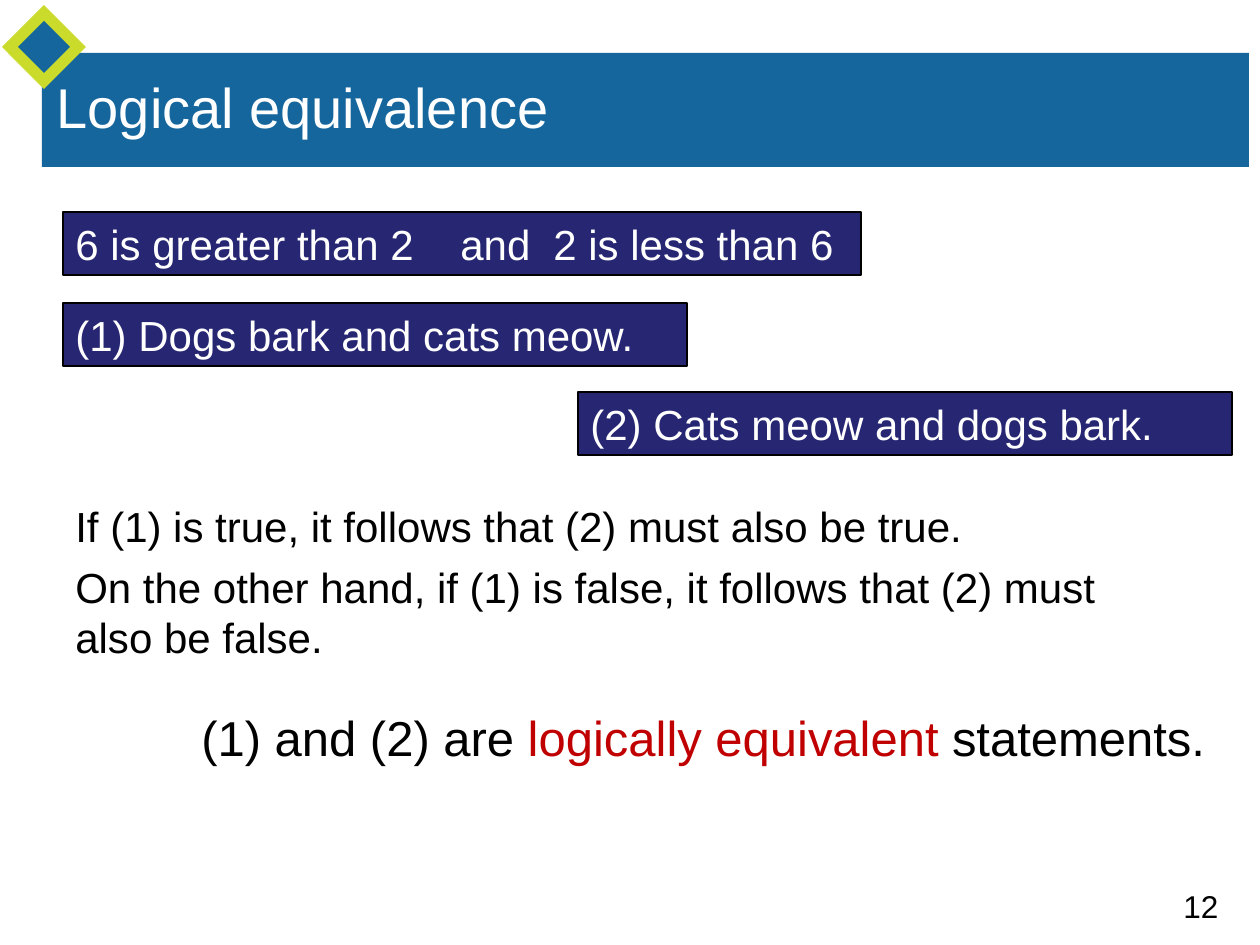
"""Build the slide on logical equivalence."""
import pptx
import pptx.dml.color
import pptx.enum.shapes
import pptx.enum.text
import pptx.oxml
import pptx.oxml.ns
import pptx.util

RGBColor = pptx.dml.color.RGBColor
BLUE = RGBColor(0x16, 0x66, 0x9E)
LIME = RGBColor(0xCB, 0xDB, 0x2B)
NAVY = RGBColor(0x26, 0x26, 0x73)
RED = RGBColor(0xC0, 0x00, 0x00)
BLACK = RGBColor(0x00, 0x00, 0x00)
WHITE = RGBColor(0xFF, 0xFF, 0xFF)

SHAPE = pptx.enum.shapes.MSO_SHAPE
ANCHOR = pptx.enum.text.MSO_ANCHOR
LEFT = pptx.enum.text.PP_ALIGN.LEFT
NO_FIT = pptx.enum.text.MSO_AUTO_SIZE.NONE
PX_PER_INCH = 126


def px(length):
    return pptx.util.Emu(round(length * 914400 / PX_PER_INCH))


def apply(target, **values):
    for name, value in values.items():
        setattr(target, name, value)


class Painter:
    font_name = "Arial"

    def __init__(self, page):
        self.page = page

    def fill_text(self, box, paragraphs, size, color, anchor=ANCHOR.TOP, after=0, tabs=()):
        frame = box.text_frame
        apply(frame, word_wrap=True, auto_size=NO_FIT, vertical_anchor=anchor)
        for index, spans in enumerate(paragraphs):
            para = frame.add_paragraph() if index else frame.paragraphs[0]
            apply(para, alignment=LEFT, space_after=pptx.util.Pt(after))
            if tabs:
                self.add_tabs(para, tabs)
            for text, span_color in spans:
                span = para.add_run()
                span.text = text
                apply(span.font, name=self.font_name, size=pptx.util.Pt(size))
                span.font.color.rgb = span_color or color

    def add_tabs(self, para, stops):
        properties = para._p.get_or_add_pPr()
        tab_list = pptx.oxml.parse_xml(f"<a:tabLst {pptx.oxml.ns.nsdecls('a')}/>")
        for stop in stops:
            tab = tab_list.makeelement(pptx.oxml.ns.qn("a:tab"), {"pos": str(px(stop)), "algn": "l"})
            tab_list.append(tab)
        properties.append(tab_list)

    def shape(self, kind, area, fill):
        box = self.page.shapes.add_shape(kind, *map(px, area))
        box.shadow.inherit = False
        box.fill.solid()
        box.fill.fore_color.rgb = fill
        box.line.fill.background()
        return box

    def title(self, text, area):
        box = self.page.shapes.title
        apply(box, **dict(zip(("left", "top", "width", "height"), map(px, area))))
        self.fill_text(box, [[(text, None)]], 32, WHITE, ANCHOR.MIDDLE)
        box._element.getparent().append(box._element)

    def statement(self, text, area, tabs=()):
        box = self.shape(SHAPE.RECTANGLE, area, NAVY)
        box.line.color.rgb = BLACK
        box.line.width = pptx.util.Pt(0.75)
        self.fill_text(box, [[(text, None)]], 24, WHITE, tabs=tabs)

    def text(self, paragraphs, area, size, after=0):
        box = self.page.shapes.add_textbox(*map(px, area))
        self.fill_text(box, paragraphs, size, BLACK, after=after)


def main():
    deck = pptx.Presentation()
    apply(deck, slide_width=px(1260), slide_height=px(945))
    painter = Painter(deck.slides.add_slide(deck.slide_layouts[5]))

    painter.text([[("12", None)]], (1171, 881, 89, 50), 18)
    painter.shape(SHAPE.RECTANGLE, (42, 53, 1207, 114), BLUE)
    painter.shape(SHAPE.DIAMOND, (2, 5, 84, 84), LIME)
    painter.shape(SHAPE.DIAMOND, (18, 21, 52, 52), BLUE)
    painter.title("Logical equivalence", (44, 28, 1134, 157))

    painter.statement("(1) Dogs bark and cats meow.", (63, 303, 624, 63))
    painter.statement("6 is greater than 2\tand\t2 is less than 6", (63, 212, 798, 63), (385, 478))
    painter.statement("(2) Cats meow and dogs bark.", (578, 392, 654, 63))

    painter.text([
        [("If (1) is true, it follows that (2) must also be true.", None)],
        [("On the other hand, if (1) is false, it follows that (2) must also be false.", None)],
    ], (63, 494, 1081, 176), 24, after=6)
    painter.text([
        [("(1) and (2) are ", None), ("logically equivalent", RED), (" statements.", None)],
    ], (189, 701, 1071, 72), 28, after=6)

    deck.save("out.pptx")


if __name__ == "__main__":
    main()
